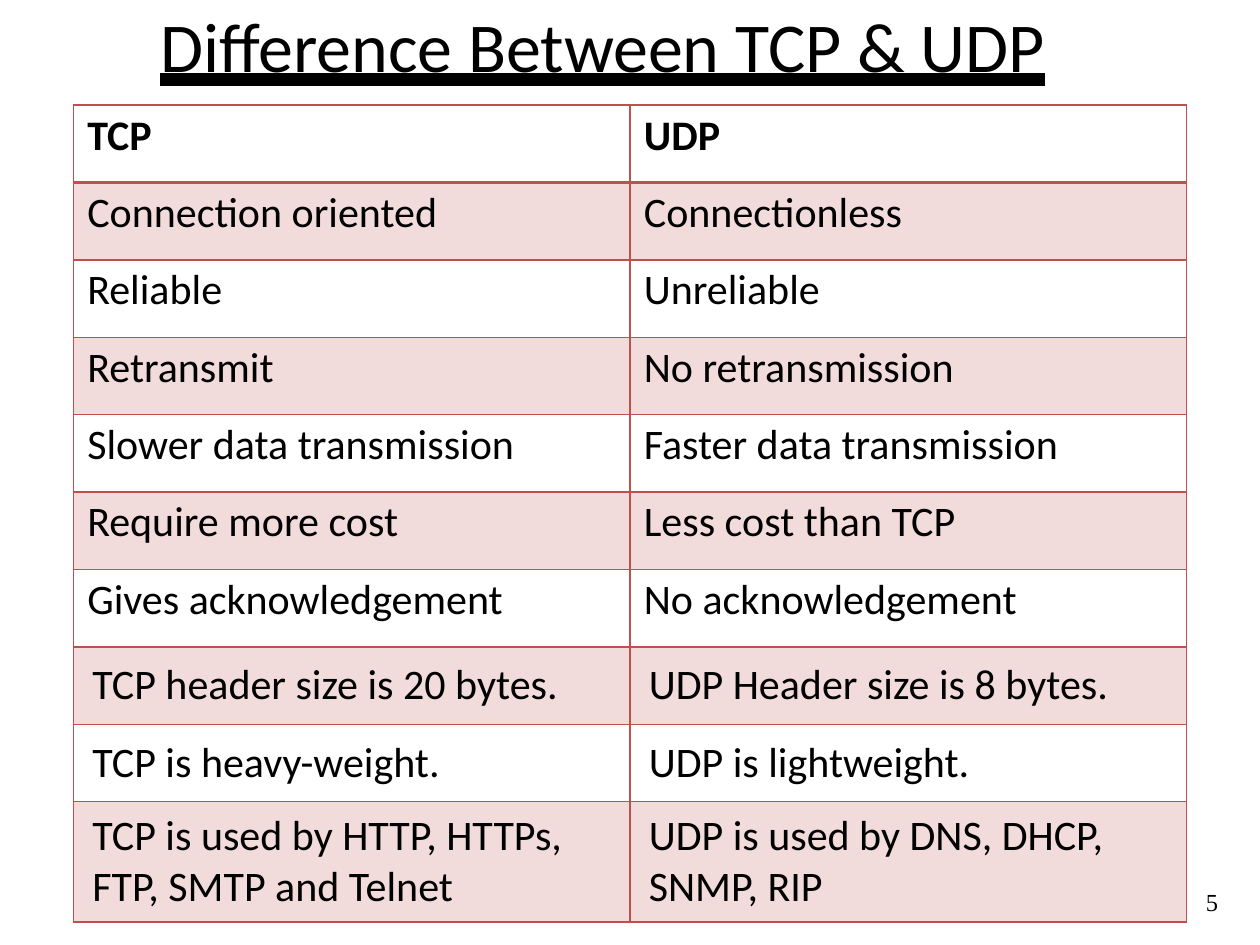
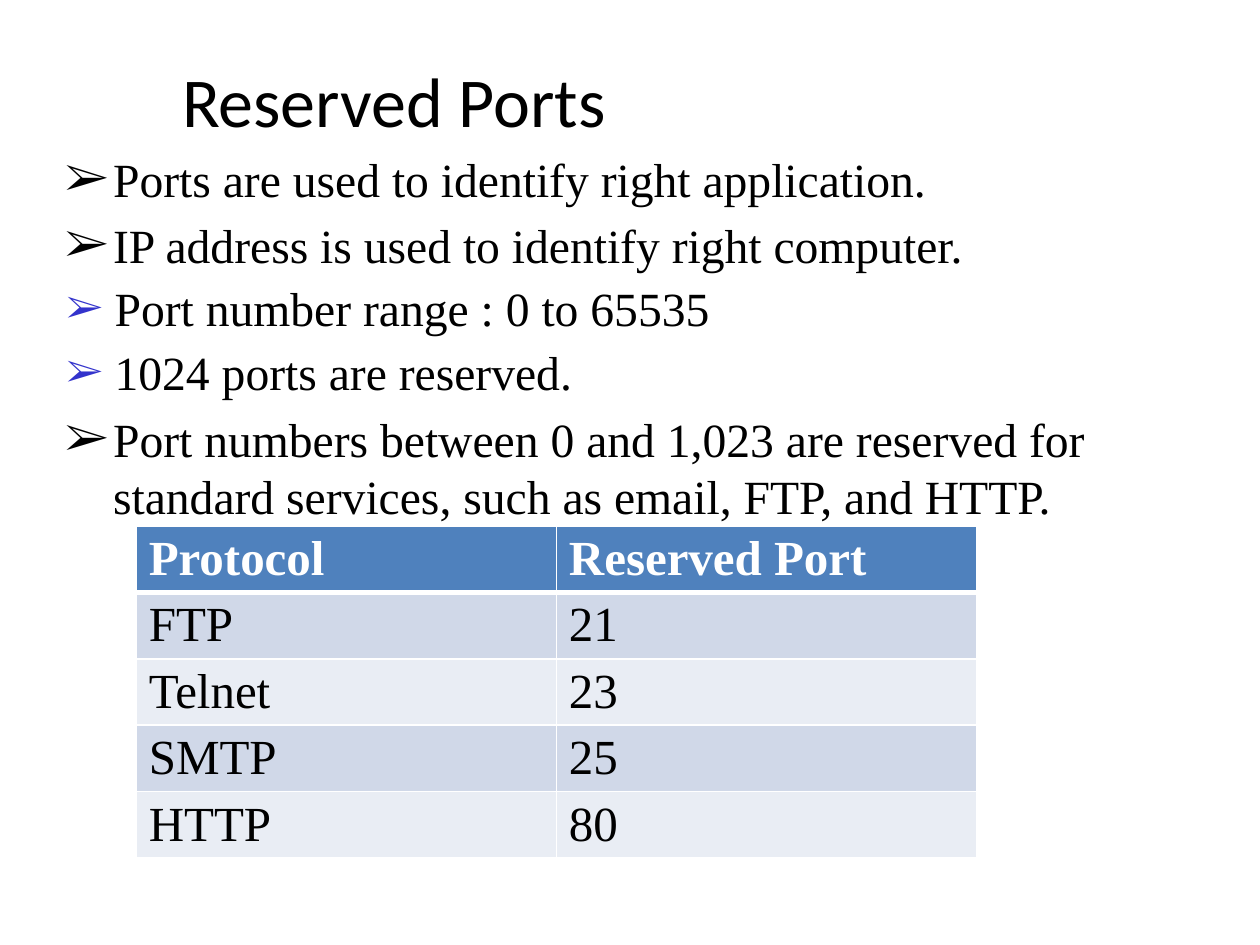
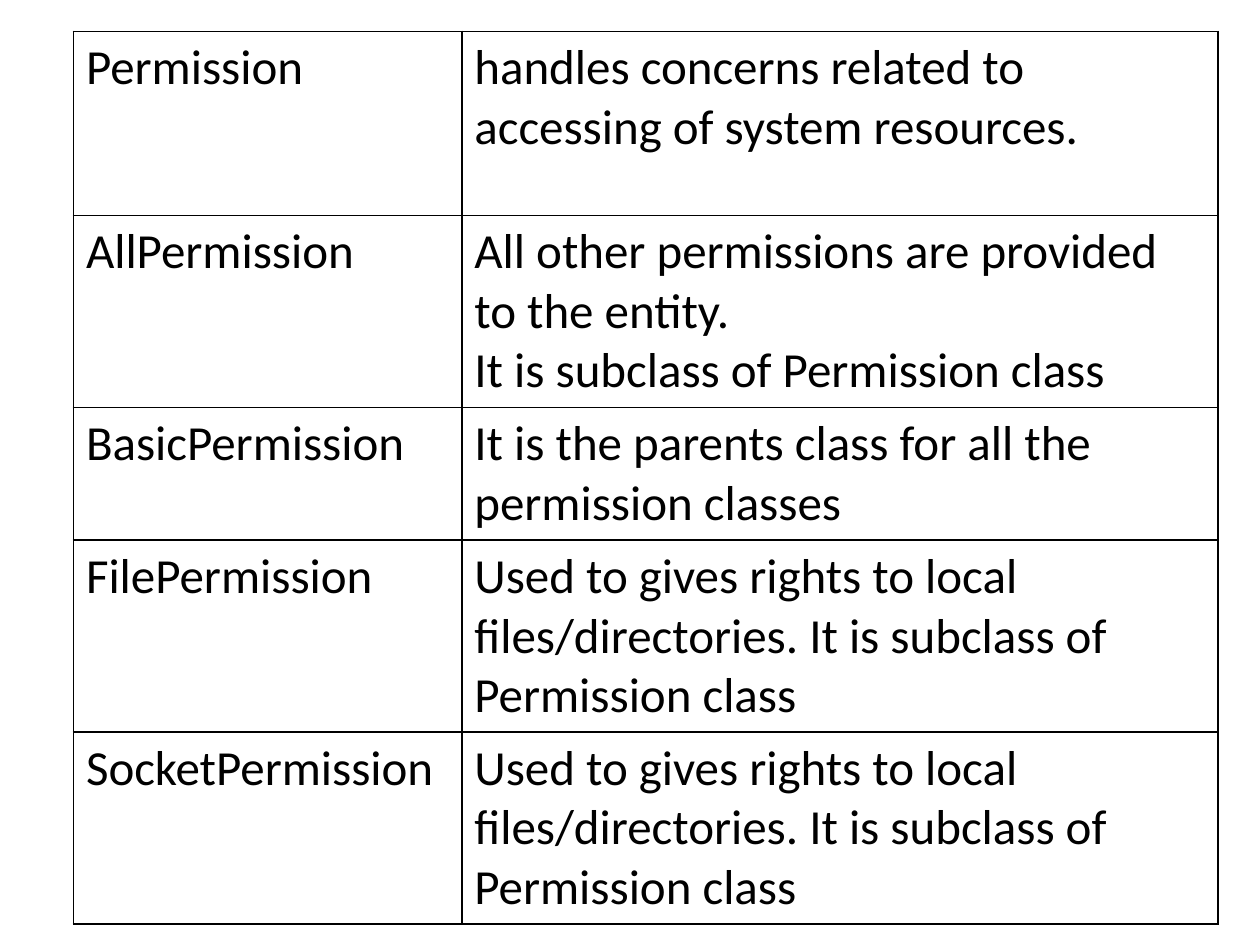
"""Builds three slides on TCP and UDP, reserved ports and permission classes."""
from dataclasses import dataclass

from lxml import etree
from pptx import Presentation
from pptx.dml.color import RGBColor
from pptx.enum import text
from pptx.oxml import ns
from pptx.util import Cm, Pt

COMPARISON = [
    ("TCP", "UDP"),
    ("Connection oriented", "Connectionless"),
    ("Reliable", "Unreliable"),
    ("Retransmit", "No retransmission"),
    ("Slower data transmission", "Faster data transmission"),
    ("Require more cost", "Less cost than TCP"),
    ("Gives acknowledgement", "No acknowledgement"),
    ("TCP header size is 20 bytes.", "UDP Header size is 8 bytes."),
    ("TCP is heavy-weight.", "UDP is lightweight."),
    ("TCP is used by HTTP, HTTPs, FTP, SMTP and Telnet",
     "UDP is used by DNS, DHCP, SNMP, RIP"),
]
FIRST_PADDED_ROW = 7

PORT_FACTS = [
    ("Ports are used to identify right application.", False),
    ("IP address is used to identify right computer.", False),
    ("Port number range : 0 to 65535", True),
    ("1024 ports are reserved.", True),
    ("Port numbers between 0 and 1,023 are reserved for standard services, "
     "such as email, FTP, and HTTP.", False),
]
PORTS = [("Protocol", "Reserved Port"), ("FTP", "21"), ("Telnet", "23"),
         ("SMTP", "25"), ("HTTP", "80")]

LOCAL_RIGHTS = ("Used to gives rights to local files/directories. "
                "It is subclass of Permission class")
PERMISSIONS = [
    ("Permission", "handles concerns related to accessing of system resources."),
    ("AllPermission", "All other permissions are provided to the entity.\n"
                      "It is subclass of Permission class"),
    ("BasicPermission", "It is the parents class for all the permission classes"),
    ("FilePermission", LOCAL_RIGHTS),
    ("SocketPermission", LOCAL_RIGHTS),
]


@dataclass(frozen=True)
class Theme:
    """Fonts, colours and type sizes."""
    sans: str = "Calibri"
    serif: str = "Times New Roman"
    black: str = "000000"
    white: str = "FFFFFF"
    red: str = "C0504D"
    pink: str = "F2DCDB"
    blue: str = "4F81BD"
    band_dark: str = "D0D8E8"
    band_light: str = "E9EDF4"
    bullet: str = "3333CC"
    title: float = 40
    bullets: float = 27.2
    table: float = 28
    table_small: float = 24
    number: float = 14


T = Theme()


def style(p, name, size, color=T.black, bold=False):
    """Set the font of a whole paragraph."""
    f = p.font
    f.name, f.size, f.bold = name, Pt(size), bold
    f.color.rgb = RGBColor.from_string(color)


def set_margins(frame, left, top, right, bottom):
    """Set the inner margins of a text frame or cell, in centimetres."""
    frame.margin_left, frame.margin_top = Cm(left), Cm(top)
    frame.margin_right, frame.margin_bottom = Cm(right), Cm(bottom)


def add_title(s, words, box, underline=None):
    """Fill and place the title placeholder."""
    sp = s.shapes.title
    sp.left, sp.top, sp.width, sp.height = map(Cm, box)
    tf = sp.text_frame
    tf.text = words
    tf.auto_size = text.MSO_AUTO_SIZE.NONE
    tf.vertical_anchor = text.MSO_ANCHOR.MIDDLE
    set_margins(tf, 0, 0, 0, 0)
    p = tf.paragraphs[0]
    p.alignment = text.PP_ALIGN.CENTER
    style(p, T.sans, T.title)
    p.font.underline = underline


def add_text(s, box):
    """Add a wrapping text box and return its text frame."""
    tf = s.shapes.add_textbox(*map(Cm, box)).text_frame
    tf.word_wrap = True
    return tf


def set_bullet(p, color, percent, indent):
    """Give a paragraph an arrow bullet with a hanging indent."""
    pr = p._p.get_or_add_pPr()
    pr.set("marL", str(Cm(indent)))
    pr.set("indent", str(-Cm(0.97)))
    clr = etree.SubElement(pr, ns.qn("a:buClr"))
    etree.SubElement(clr, ns.qn("a:srgbClr"), val=color)
    etree.SubElement(pr, ns.qn("a:buSzPct"), val=str(percent * 1000))
    etree.SubElement(pr, ns.qn("a:buFont"), typeface=T.serif)
    etree.SubElement(pr, ns.qn("a:buChar"), char="➢")


def set_borders(cell, color, top=1, bottom=1):
    """Draw the four cell borders, widths in points."""
    pr = cell._tc.get_or_add_tcPr()
    for side, width in (("L", 1), ("R", 1), ("T", top), ("B", bottom)):
        ln = etree.SubElement(pr, ns.qn(f"a:ln{side}"), w=str(Pt(width)))
        fill = etree.SubElement(ln, ns.qn("a:solidFill"))
        etree.SubElement(fill, ns.qn("a:srgbClr"), val=color)


def add_table(s, rows, place, widths, heights, font, size, border,
              bands=(None, None), head=None, head_color=T.black, divider=1):
    """Add a bordered table; divider is the line width below a header row."""
    has_header = divider > 1
    table = s.shapes.add_table(len(rows), len(widths), *map(Cm, place),
                               Cm(sum(widths)), Cm(sum(heights))).table
    table.first_row = table.horz_banding = False
    for column, width in zip(table.columns, widths):
        column.width = Cm(width)
    for i, (row, height) in enumerate(zip(rows, heights)):
        table.rows[i].height = Cm(height)
        is_header = has_header and i == 0
        fill = head if is_header else bands[(i + 1) % 2]
        for cell, words in zip(table.rows[i].cells, row):
            cell.text = words
            set_borders(cell, border, divider if i == 1 else 1,
                        divider if i == 0 else 1)
            if fill:
                cell.fill.solid()
                cell.fill.fore_color.rgb = RGBColor.from_string(fill)
            else:
                cell.fill.background()
            for p in cell.text_frame.paragraphs:
                style(p, font, size, head_color if is_header else T.black, is_header)
    return table


def comparison_slide(prs):
    """TCP against UDP."""
    s = prs.slides.add_slide(prs.slide_layouts[5])
    add_title(s, "Difference Between TCP & UDP", (1.7, 0, 20.9, 1.8),
              text.MSO_UNDERLINE.HEAVY_LINE)
    table = add_table(s, COMPARISON, (1.48, 2.12), [11.22] * 2, [1.56] * 9 + [2.4],
                      T.sans, T.table_small, T.red, (T.pink, None), divider=2)
    for i, row in enumerate(table.rows):
        for cell in row.cells:
            if i >= FIRST_PADDED_ROW:
                set_margins(cell, 0.38, 0.18, 0.38, 0.18)
                cell.vertical_anchor = text.MSO_ANCHOR.MIDDLE
            else:
                set_margins(cell, 0.28, 0.1, 0, 0)
    tf = add_text(s, (24.23, 17.9, 0.6, 0.6))
    set_margins(tf, 0.08, 0, 0, 0)
    p = tf.paragraphs[0]
    p.text = "5"
    p.line_spacing = Pt(16.3)
    style(p, T.serif, T.number)


def ports_slide(prs):
    """Port facts and the reserved port numbers."""
    s = prs.slides.add_slide(prs.slide_layouts[5])
    add_title(s, "Reserved Ports", (2.12, 1.06, 11.64, 1.9))
    tf = add_text(s, (1.06, 2.9, 22.86, 7.7))
    for i, (words, accented) in enumerate(PORT_FACTS):
        p = tf.paragraphs[0] if i == 0 else tf.add_paragraph()
        p.text = words
        p.line_spacing = 0.9 if accented else 1.0
        p.space_before = Pt(7.2 if accented else 5)
        if accented:
            set_bullet(p, T.bullet, 84, 1)
        else:
            set_bullet(p, T.black, 100, 0.97)
        style(p, T.serif, T.bullets)
    table = add_table(s, PORTS, (2.75, 10.6), [8.47] * 2, [1.34] * 5, T.serif, T.table,
                      T.white, (T.band_dark, T.band_light), T.blue, T.white, 3)
    for cell in table.iter_cells():
        set_margins(cell, 0.25, 0.12, 0.25, 0.02)


def permissions_slide(prs):
    """Permission classes."""
    s = prs.slides.add_slide(prs.slide_layouts[6])
    add_table(s, PERMISSIONS, (1.48, 0.63), [7.83, 15.24],
              [3.71, 3.87, 2.68, 3.87, 3.87], T.sans, T.table, T.black)


def main():
    """Build and save the deck."""
    prs = Presentation()
    prs.slide_width, prs.slide_height = Cm(25.4), Cm(19.05)
    for build in (comparison_slide, ports_slide, permissions_slide):
        build(prs)
    prs.save("out.pptx")


if __name__ == "__main__":
    main()
